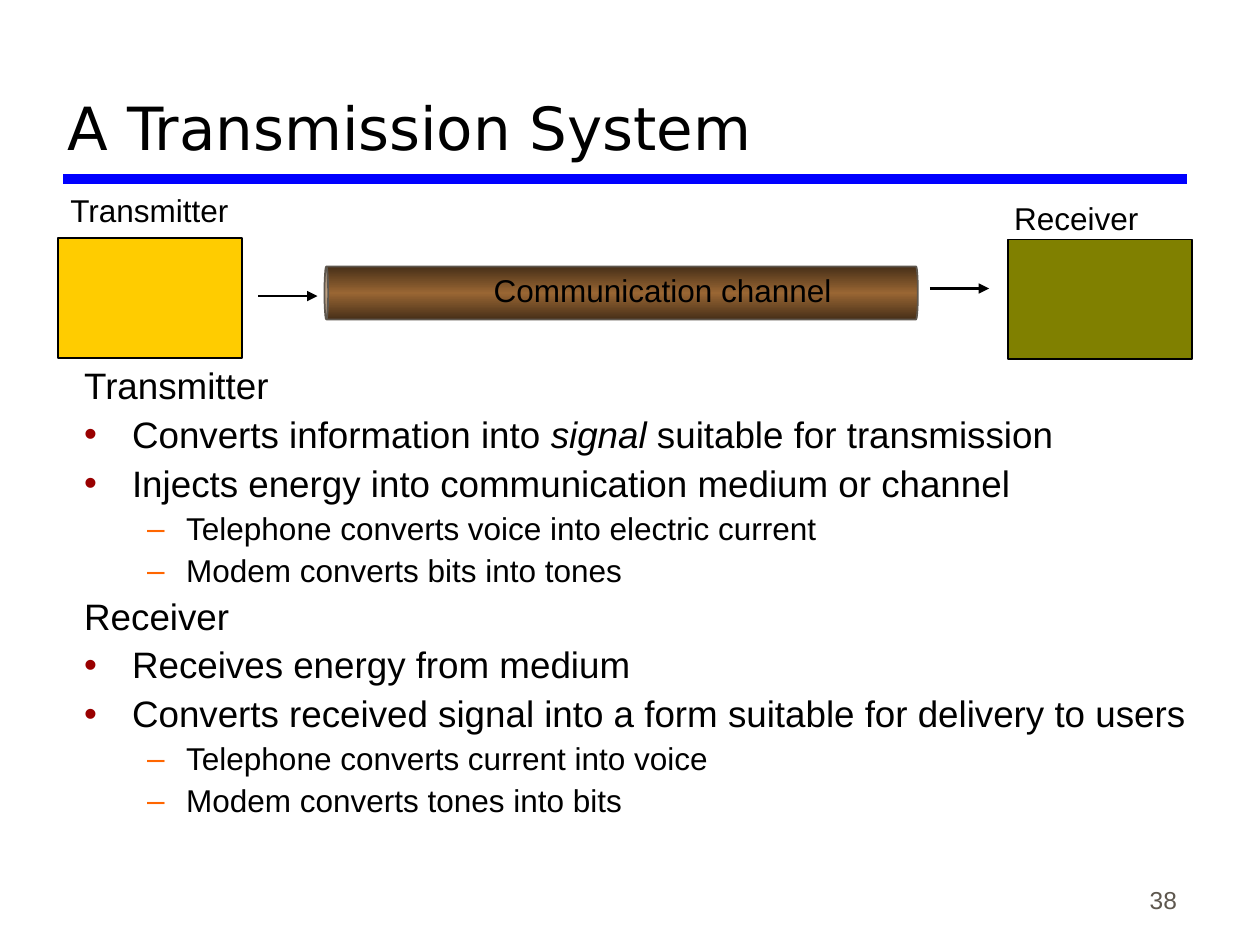
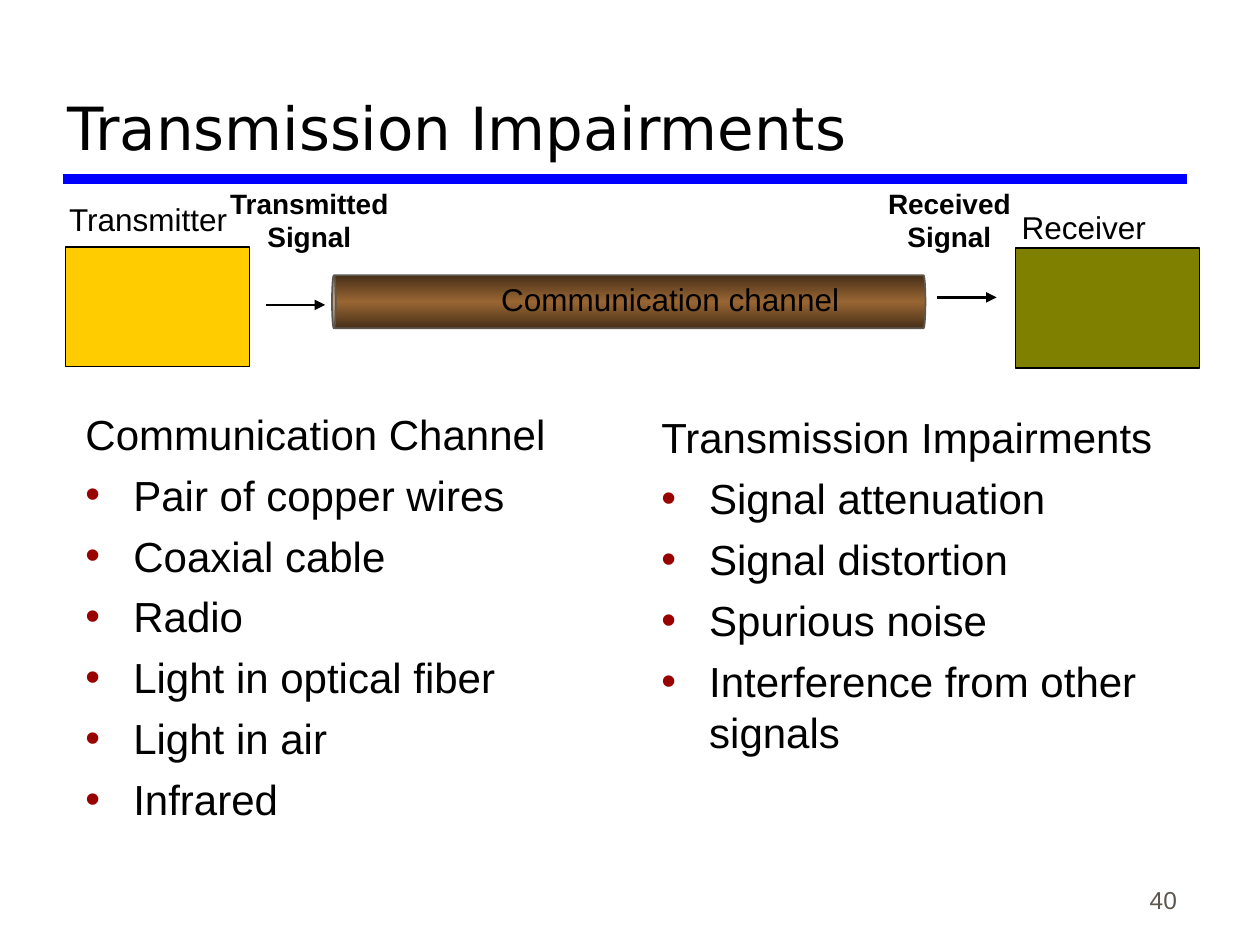
from copy import deepcopy
from dataclasses import dataclass

from lxml import etree
from pptx import Presentation
from pptx.dml.color import RGBColor
from pptx.enum.shapes import MSO_CONNECTOR, MSO_SHAPE
from pptx.enum.text import MSO_ANCHOR, PP_ALIGN
from pptx.oxml.ns import qn
from pptx.util import Inches, Pt

STRAIGHT = MSO_CONNECTOR.STRAIGHT
RECTANGLE, CAN = MSO_SHAPE.RECTANGLE, MSO_SHAPE.CAN
TOP, BOTTOM = MSO_ANCHOR.TOP, MSO_ANCHOR.BOTTOM
LEFT, CENTER, RIGHT = PP_ALIGN.LEFT, PP_ALIGN.CENTER, PP_ALIGN.RIGHT


@dataclass(frozen=True)
class Theme:
    body_font: str = "Arial"
    title_font: str = "DejaVu Sans"
    ink: str = "000000"
    muted: str = "5E574E"
    rule: str = "0000FF"
    bullet: str = "990000"
    dash: str = "FF6600"
    transmitter: str = "FFCC00"
    receiver: str = "808000"
    channel_edge: str = "472F18"
    channel_core: str = "996633"
    title_size: float = 34
    label_size: float = 18
    detail_size: float = 18
    signal_size: float = 16
    number_size: float = 14


HEADING, POINT, DETAIL = range(3)


class Deck:
    def __init__(self, theme):
        self.theme = theme
        self.prs = Presentation()
        self.prs.slide_width, self.prs.slide_height = Inches(10), Inches(7.5)
        self.slide = None

    def new_slide(self, title, number):
        theme = self.theme
        self.slide = self.prs.slides.add_slide(self.prs.slide_layouts[6])
        self.line((0.5, 1.42), (9.42, 1.42), theme.rule, 6)
        self.text(str(number), (7.36, 6.81, 2.08, 0.5), theme.number_size,
                  color=theme.muted, align=RIGHT, anchor=BOTTOM)
        self.text(title, (0.44, 0.17, 8.97, 1.17), theme.title_size,
                  font=theme.title_font, anchor=BOTTOM)

    def frame(self, box, anchor=TOP):
        frame = self.slide.shapes.add_textbox(*map(Inches, box)).text_frame
        frame.word_wrap = True
        frame.vertical_anchor = anchor
        return frame

    def style(self, paragraph, size, font=None, color=None, bold=False):
        paragraph.font.size = Pt(size)
        paragraph.font.name = font or self.theme.body_font
        paragraph.font.bold = bold
        paragraph.font.color.rgb = RGBColor.from_string(color or self.theme.ink)

    def text(self, words, box, size, font=None, color=None, bold=False,
             align=LEFT, anchor=TOP):
        paragraph = self.frame(box, anchor).paragraphs[0]
        paragraph.text = words
        paragraph.alignment = align
        self.style(paragraph, size, font, color, bold)

    def label(self, words, box):
        self.text(words, box, self.theme.label_size)

    def outline(self, items, box, size, spacing=1.0):
        theme = self.theme
        frame = self.frame(box)
        levels = {
            HEADING: (size, 0.38, -0.38, None, None),
            POINT: (size, 0.38, -0.38, "•", theme.bullet),
            DETAIL: (theme.detail_size, 0.81, -0.31, "–", theme.dash),
        }
        for index, (level, words) in enumerate(items):
            paragraph = frame.add_paragraph() if index else frame.paragraphs[0]
            points, margin, indent, mark, mark_color = levels[level]
            for position, part in enumerate(words.split("*")):
                run = paragraph.add_run()
                run.text = part
                if position % 2:
                    run.font.italic = True
            paragraph.line_spacing = spacing
            if index:
                paragraph.space_before = Pt(points * 0.25)
            props = paragraph._p.get_or_add_pPr()
            props.set("marL", str(Inches(margin)))
            props.set("indent", str(Inches(indent)))
            if mark:
                color = etree.SubElement(props, qn("a:buClr"))
                etree.SubElement(color, qn("a:srgbClr"), val=mark_color)
                etree.SubElement(props, qn("a:buFont"), typeface=theme.body_font)
                etree.SubElement(props, qn("a:buChar"), char=mark)
            self.style(paragraph, points)

    def line(self, start, end, color, width, arrow=False):
        connector = self.slide.shapes.add_connector(
            STRAIGHT, *map(Inches, (*start, *end)))
        connector.line.color.rgb = RGBColor.from_string(color)
        connector.line.width = Pt(width)
        if arrow:
            etree.SubElement(connector.line._get_or_add_ln(),
                             qn("a:tailEnd"), type="triangle")
        etree.SubElement(connector._element.spPr, qn("a:effectLst"))

    def shape(self, kind, box, line_color):
        shape = self.slide.shapes.add_shape(kind, *map(Inches, box))
        shape.shadow.inherit = False
        shape.line.color.rgb = RGBColor.from_string(line_color)
        shape.line.width = Pt(1)
        return shape

    def station(self, box, color):
        station = self.shape(RECTANGLE, box, self.theme.ink)
        station.fill.solid()
        station.fill.fore_color.rgb = RGBColor.from_string(color)

    def pipe(self, box):
        theme = self.theme
        pipe = self.shape(CAN, box, theme.muted)
        pipe.rotation = 270
        pipe.adjustments[0] = 0.07
        pipe.fill.gradient()
        pipe.fill.gradient_angle = 0
        stops = pipe._element.spPr.find(qn("a:gradFill")).find(qn("a:gsLst"))
        stops.append(deepcopy(stops[0]))
        colors = (theme.channel_edge, theme.channel_core, theme.channel_edge)
        for index, (stop, color) in enumerate(zip(pipe.fill.gradient_stops, colors)):
            stop.position = index / 2
            stop.color.rgb = RGBColor.from_string(color)

    def transmission_system(self, dx=0.0, dy=0.0, transmitter_label_x=0.46):
        theme = self.theme
        self.station((8 + dx, 1.9 + dy, 1.46, 0.95), theme.receiver)
        self.label("Receiver", (7.95 + dx, 1.53 + dy, 1.4, 0.4))
        self.pipe((4.72 + dx, -0.03 + dy, 0.42, 4.71))
        self.label("Communication channel", (3.82 + dx, 2.1 + dy, 3, 0.4))
        self.station((0.46 + dx, 1.89 + dy, 1.46, 0.95), theme.transmitter)
        self.label("Transmitter", (transmitter_label_x, 1.47 + dy, 1.6, 0.4))
        for x, y in ((2.05, 2.35), (7.38, 2.29)):
            self.line((x + dx, y + dy), (x + dx + 0.47, y + dy),
                      theme.ink, 1.5, arrow=True)

    def signal(self, words, box):
        self.text(words, box, self.theme.signal_size, bold=True, align=CENTER)


def topic(heading, *points):
    return [(HEADING, heading), *((POINT, point) for point in points)]


def main():
    deck = Deck(Theme())

    deck.new_slide("A Transmission System", 38)
    roles = [
        *topic("Transmitter",
               "Converts information into *signal* suitable for transmission",
               "Injects energy into communication medium or channel"),
        (DETAIL, "Telephone converts voice into electric current"),
        (DETAIL, "Modem converts bits into tones"),
        *topic("Receiver",
               "Receives energy from medium",
               "Converts received signal into a form suitable for delivery to users"),
        (DETAIL, "Telephone converts current into voice"),
        (DETAIL, "Modem converts tones into bits"),
    ]
    deck.outline(roles, (0.57, 2.87, 9, 4.31), 21, spacing=0.9)
    deck.transmission_system()

    deck.new_slide("Transmission Impairments", 40)
    channels = topic("Communication Channel", "Pair of copper wires",
                     "Coaxial cable", "Radio", "Light in optical fiber",
                     "Light in air", "Infrared")
    impairments = topic("Transmission Impairments", "Signal attenuation",
                        "Signal distortion", "Spurious noise",
                        "Interference from other signals")
    deck.outline(channels, (0.58, 3.19, 4.42, 3.95), 24)
    deck.outline(impairments, (5.15, 3.22, 4.72, 3.95), 24)
    deck.signal("Transmitted Signal", (1.46, 1.43, 1.99, 0.64))
    deck.signal("Received Signal", (6.75, 1.43, 1.57, 0.64))
    deck.transmission_system(0.06, 0.07, transmitter_label_x=0.45)

    deck.prs.save("out.pptx")


if __name__ == "__main__":
    main()
